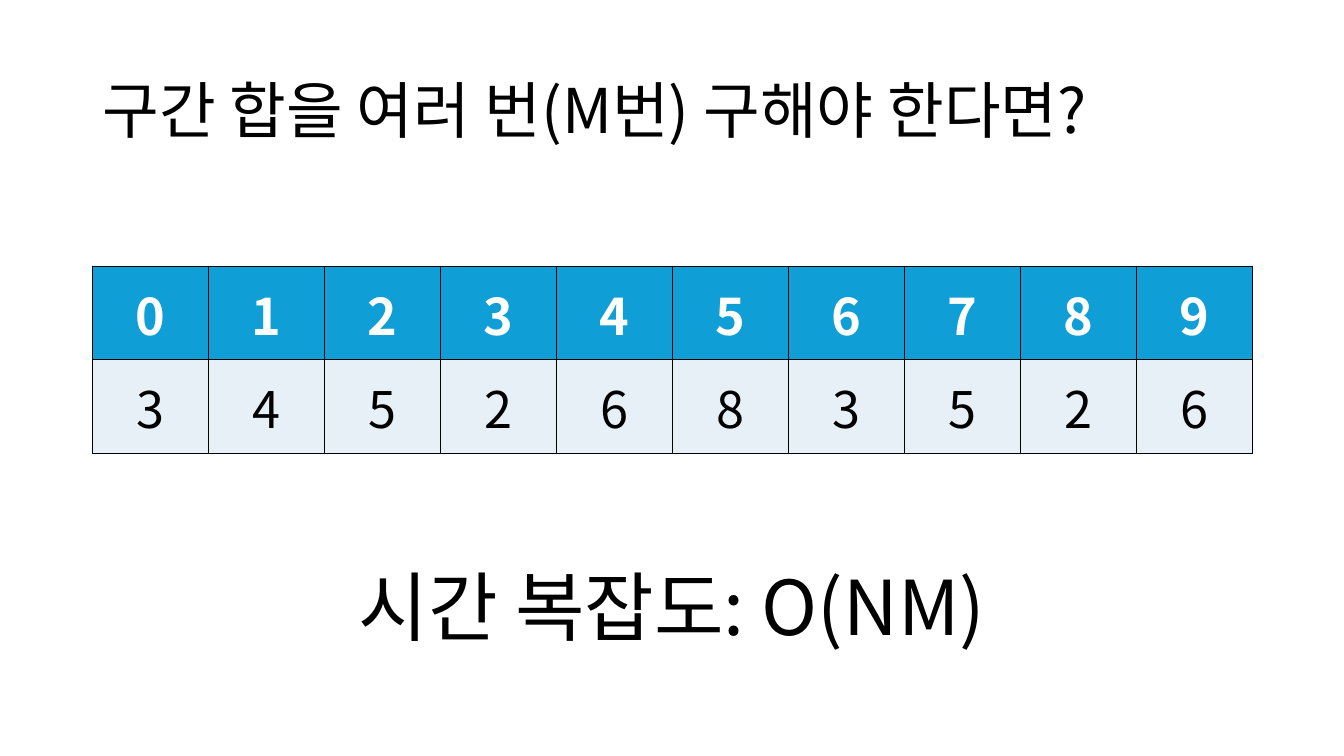
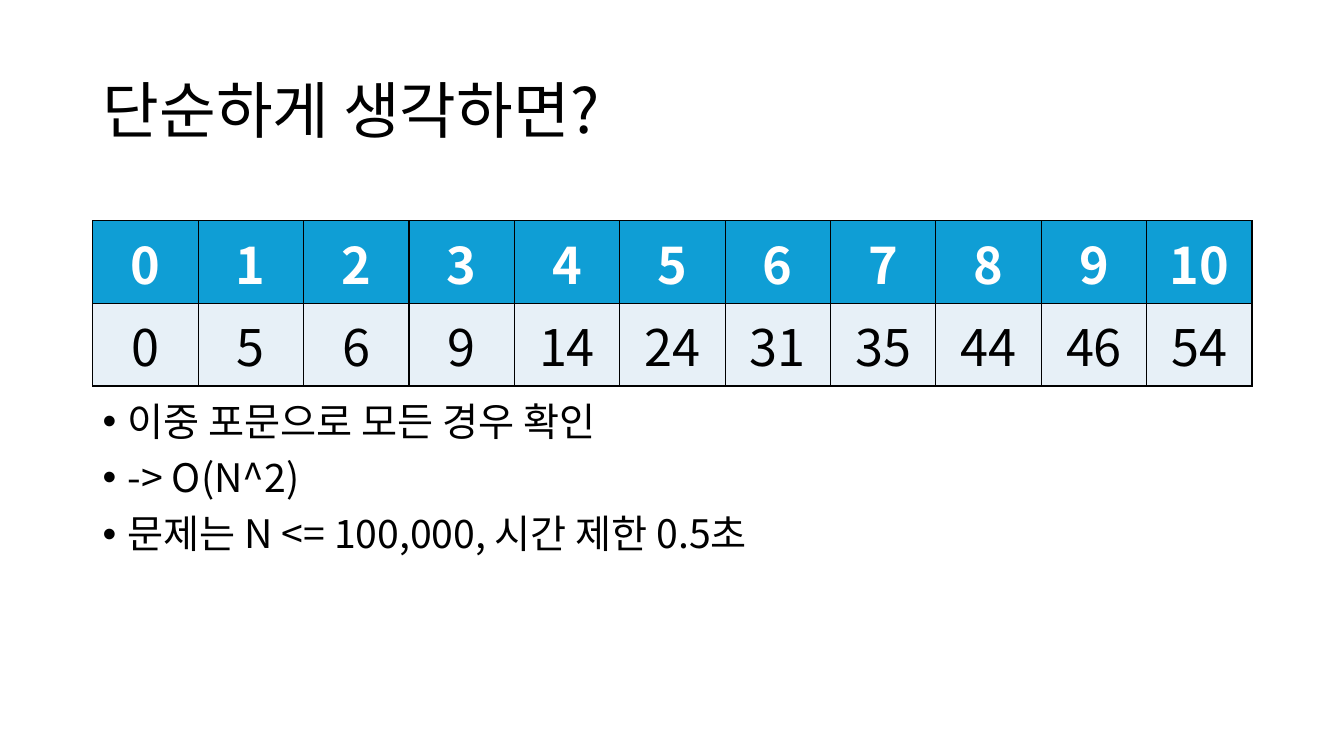
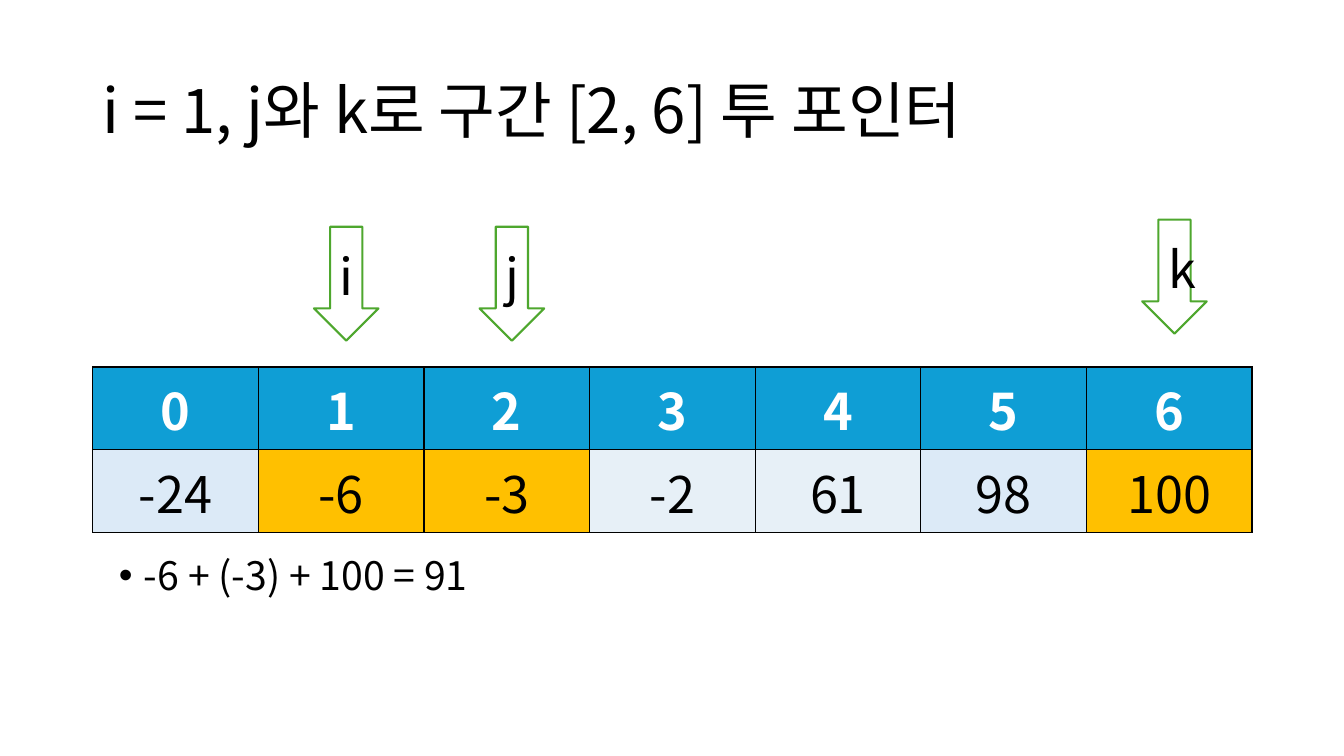
from lxml import etree
from pptx import Presentation
from pptx.dml import color
from pptx.enum import shapes, text
from pptx.oxml import ns
from pptx.util import Inches, Pt

LEFT, WIDTH = 0.92, 11.5
BLUE, PALE, LIGHT, GOLD = "0F9ED5", "E7F0F7", "DCEAF7", "FFC000"
GREEN, BLACK, WHITE = "4EA72E", "000000", "FFFFFF"


def rgb(value):
    return color.RGBColor.from_string(value)


def add_xml(parent, tag, **attributes):
    return etree.SubElement(parent, ns.qn(tag), attributes)


class Deck:
    """Holds the shared style and the current slide."""
    font = "Noto Sans CJK KR"
    bullet_format = {"line_spacing": 0.9, "space_before": Pt(10)}
    centred = {"alignment": text.PP_ALIGN.CENTER}

    def __init__(self):
        self.file = Presentation()
        self.file.slide_width = Inches(13.33)
        self.file.slide_height = Inches(7.5)
        self.page = None

    def add_page(self, title):
        self.page = self.file.slides.add_slide(self.file.slide_layouts[6])
        frame = self.box(LEFT, 0.4, WIDTH, 1.45)
        frame.vertical_anchor = text.MSO_ANCHOR.MIDDLE
        self.add_words(frame.paragraphs[0], title, 44, line_spacing=0.9)

    def box(self, *place):
        frame = self.page.shapes.add_textbox(*map(Inches, place)).text_frame
        frame.word_wrap = True
        return frame

    def add_words(self, para, words, size, ink=BLACK, bold=False, **para_format):
        for name, value in para_format.items():
            setattr(para, name, value)
        span = para.add_run()
        span.text = words
        for name, value in {"name": self.font, "size": Pt(size), "bold": bold}.items():
            setattr(span.font, name, value)
        span.font.color.rgb = rgb(ink)
        add_xml(span._r.get_or_add_rPr(), "a:ea", typeface=self.font)

    def bullets(self, left, top, height, lines):
        frame = self.box(left, top, WIDTH, height)
        for index, line in enumerate(lines):
            para = frame.add_paragraph() if index else frame.paragraphs[0]
            self.add_words(para, line, 28, **self.bullet_format)
            properties = para._p.get_or_add_pPr()
            properties.set("marL", str(Inches(0.25)))
            properties.set("indent", str(Inches(-0.25)))
            add_xml(properties, "a:buFont", typeface="Arial")
            add_xml(properties, "a:buChar", char="•")

    def caption(self, words, *place):
        frame = self.box(*place)
        frame.word_wrap = False
        frame.auto_size = text.MSO_AUTO_SIZE.SHAPE_TO_FIT_TEXT
        self.add_words(frame.paragraphs[0], words, 54, **self.centred)

    def array(self, top, row_height, values, fills=None):
        """Table with the indexes above the values; fills maps a column to its colour."""
        fills = fills or {}
        count = len(values)
        table = self.page.shapes.add_table(
            2, count, Inches(LEFT), Inches(top), Inches(WIDTH), Inches(2 * row_height)).table
        for column in table.columns:
            column.width = Inches(WIDTH / count)
        for row in table.rows:
            row.height = Inches(row_height)
        for index, value in enumerate(values):
            self.fill_cell(table.cell(0, index), index, BLUE, WHITE, True)
            self.fill_cell(table.cell(1, index), value, fills.get(index, PALE), BLACK, False)

    def fill_cell(self, cell, value, fill, ink, bold):
        cell.vertical_anchor = text.MSO_ANCHOR.MIDDLE
        properties = cell._tc.get_or_add_tcPr()
        for side in ("a:lnL", "a:lnR", "a:lnT", "a:lnB"):
            line = add_xml(properties, side, w=str(Pt(1)))
            add_xml(add_xml(line, "a:solidFill"), "a:srgbClr", val=BLACK)
        cell.fill.solid()
        cell.fill.fore_color.rgb = rgb(fill)
        self.add_words(cell.text_frame.paragraphs[0], str(value), 36, ink, bold, **self.centred)

    def pointer(self, name, column, count, top):
        """Arrow above one column of an array with count columns."""
        left = LEFT + WIDTH / count * (column + 0.5) - 0.27
        arrow = self.page.shapes.add_shape(
            shapes.MSO_SHAPE.DOWN_ARROW, *map(Inches, (left, top, 0.64, 1.13)))
        arrow.shadow.inherit = False
        arrow.fill.solid()
        arrow.fill.fore_color.rgb = rgb(WHITE)
        arrow.line.color.rgb = rgb(GREEN)
        arrow.line.width = Pt(1.5)
        self.add_words(arrow.text_frame.paragraphs[0], name, 36, **self.centred)


def main():
    deck = Deck()

    deck.add_page("구간 합을 여러 번(M번) 구해야 한다면?")
    deck.array(2.64, 0.93, [3, 4, 5, 2, 6, 8, 3, 5, 2, 6])
    deck.caption("시간 복잡도: O(NM)", 3.16, 5.51, 7.01, 1.01)

    deck.add_page("단순하게 생각하면?")
    deck.bullets(LEFT, 3.94, 2.81, [
        "이중 포문으로 모든 경우 확인",
        "-> O(N^2)",
        "문제는 N <= 100,000, 시간 제한 0.5초",
    ])
    deck.array(2.19, 0.82, [0, 5, 6, 9, 14, 24, 31, 35, 44, 46, 54])

    deck.add_page("i = 1, j와 k로 구간 [2, 6] 투 포인터")
    values = [-24, -6, -3, -2, 61, 98, 100]
    deck.array(3.64, 0.82, values, {0: LIGHT, 1: GOLD, 2: GOLD, 5: LIGHT, 6: GOLD})
    for name, column, top in (("i", 1, 2.25), ("j", 2, 2.25), ("k", 6, 2.18)):
        deck.pointer(name, column, len(values), top)
    deck.bullets(1.08, 5.47, 1.45, ["-6 + (-3) + 100 = 91"])

    deck.file.save("out.pptx")


if __name__ == "__main__":
    main()
